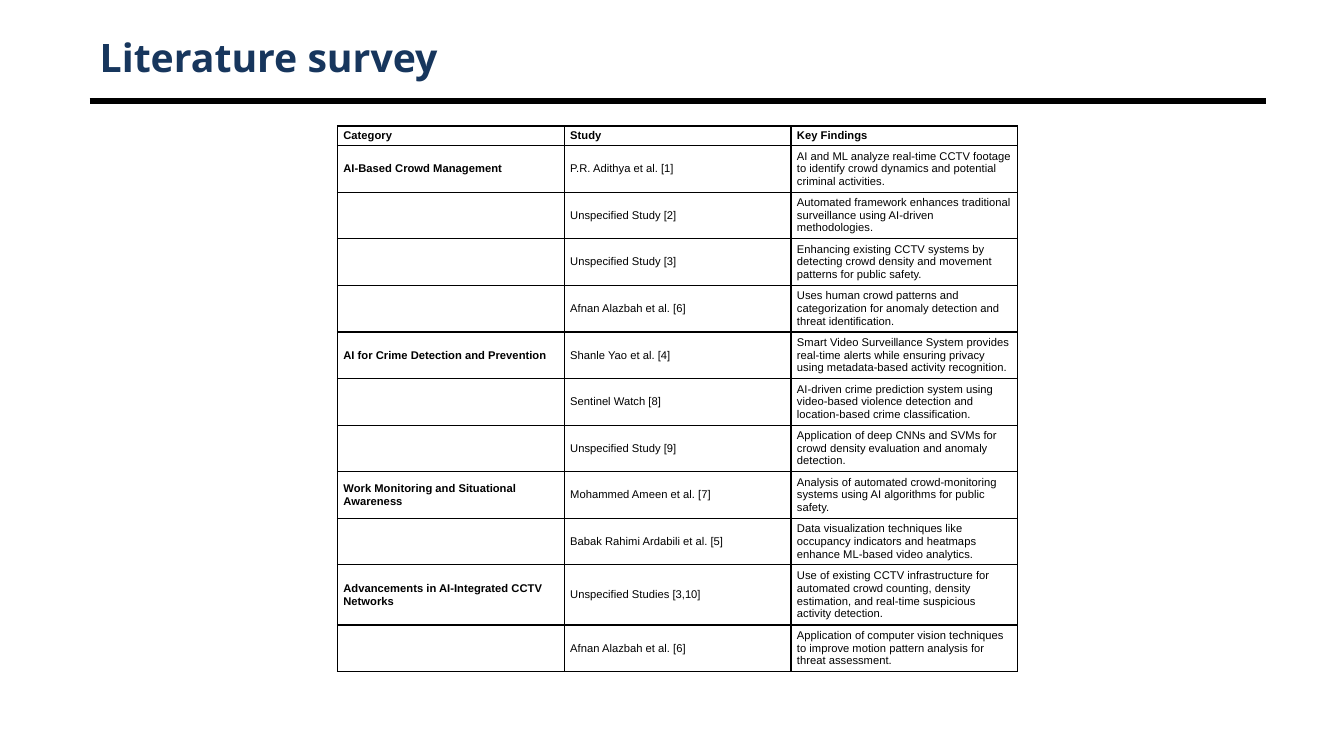
"""Build the literature survey slide with its table of studies."""
from lxml.etree import SubElement
from pptx import Presentation
from pptx.dml.color import RGBColor
from pptx.enum.shapes import MSO_CONNECTOR
from pptx.enum.text import MSO_ANCHOR, PP_ALIGN
from pptx.oxml import parse_xml
from pptx.oxml.ns import nsdecls, qn
from pptx.util import Pt

TITLE = "Literature survey"
HEADER = ("Category", "Study", "Key Findings")
SURVEY = {
    "AI-Based Crowd Management": [
        ("P.R. Adithya et al. [1]",
         "AI and ML analyze real-time CCTV footage to identify crowd dynamics and potential criminal activities."),
        ("Unspecified Study [2]",
         "Automated framework enhances traditional surveillance using AI-driven methodologies."),
        ("Unspecified Study [3]",
         "Enhancing existing CCTV systems by detecting crowd density and movement patterns for public safety."),
        ("Afnan Alazbah et al. [6]",
         "Uses human crowd patterns and categorization for anomaly detection and threat identification."),
    ],
    "AI for Crime Detection and Prevention": [
        ("Shanle Yao et al. [4]",
         "Smart Video Surveillance System provides real-time alerts while ensuring privacy "
         "using metadata-based activity recognition."),
        ("Sentinel Watch [8]",
         "AI-driven crime prediction system using video-based violence detection and "
         "location-based crime classification."),
        ("Unspecified Study [9]",
         "Application of deep CNNs and SVMs for crowd density evaluation and anomaly detection."),
    ],
    "Work Monitoring and Situational Awareness": [
        ("Mohammed Ameen et al. [7]",
         "Analysis of automated crowd-monitoring systems using AI algorithms for public safety."),
        ("Babak Rahimi Ardabili et al. [5]",
         "Data visualization techniques like occupancy indicators and heatmaps enhance ML-based video analytics."),
    ],
    "Advancements in AI-Integrated CCTV Networks": [
        ("Unspecified Studies [3,10]",
         "Use of existing CCTV infrastructure for automated crowd counting, density estimation, "
         "and real-time suspicious activity detection."),
        ("Afnan Alazbah et al. [6]",
         "Application of computer vision techniques to improve motion pattern analysis for threat assessment."),
    ],
}

LEFT, WIDTH = 64, 840
TABLE_LEFT, TABLE_TOP, COL_WIDTH = 241, 90, 162
HEADER_HEIGHT, ROW_HEIGHT, TALL_HEIGHT = 14, 33.3, 43
TALL_STUDY = "Unspecified Studies [3,10]"
BLACK, NAVY = "000000", "17365D"


def color(value):
    return RGBColor.from_string(value)


def format_run(r, font, size, fill, bold):
    r.font.name, r.font.size, r.font.bold = font, Pt(size), bold
    r.font.color.rgb = color(fill)


def add_borders(cell):
    tc_pr = cell._tc.get_or_add_tcPr()
    for i, side in enumerate("LRTB"):
        tc_pr.insert(i, parse_xml(
            f'<a:ln{side} {nsdecls("a")} w="{Pt(1)}"><a:solidFill>'
            f'<a:srgbClr val="{BLACK}"/></a:solidFill></a:ln{side}>'))


def add_title(s):
    title = s.shapes.title
    title.left, title.top, title.width, title.height = Pt(LEFT), Pt(21.6), Pt(WIDTH), Pt(38.2)
    tf = title.text_frame
    tf.text = TITLE
    tf.vertical_anchor = MSO_ANCHOR.MIDDLE
    p = tf.paragraphs[0]
    p.alignment = PP_ALIGN.LEFT
    format_run(p.runs[0], "Open Sans", 28, NAVY, True)


def add_rule(s):
    rule = s.shapes.add_connector(MSO_CONNECTOR.STRAIGHT, Pt(LEFT), Pt(72), Pt(LEFT + WIDTH), Pt(72))
    rule.line.color.rgb = color(BLACK)
    rule.line.width = Pt(4.5)
    SubElement(rule._element.spPr, qn("a:effectLst"))


def add_survey(s):
    rows = [HEADER]
    for category, studies in SURVEY.items():
        for i, study in enumerate(studies):
            rows.append(("" if i else category, *study))
    heights = [HEADER_HEIGHT] + [
        TALL_HEIGHT if row[1] == TALL_STUDY else ROW_HEIGHT for row in rows[1:]]
    table = s.shapes.add_table(
        len(rows), len(HEADER), Pt(TABLE_LEFT), Pt(TABLE_TOP),
        Pt(COL_WIDTH * len(HEADER)), Pt(sum(heights))).table
    table.first_row = table.horz_banding = False
    for column in table.columns:
        column.width = Pt(COL_WIDTH)
    for i, (row, height) in enumerate(zip(rows, heights)):
        table.rows[i].height = Pt(height)
        for j, text in enumerate(row):
            cell = table.cell(i, j)
            cell.text = text
            cell.vertical_anchor = MSO_ANCHOR.MIDDLE
            cell.margin_left = cell.margin_right = Pt(4.3)
            cell.margin_top = cell.margin_bottom = Pt(2.1)
            cell.fill.background()
            add_borders(cell)
            for r in cell.text_frame.paragraphs[0].runs:
                format_run(r, "Arial", 8, BLACK, i == 0 or j == 0)


def main():
    prs = Presentation()
    prs.slide_width, prs.slide_height = Pt(960), Pt(540)
    s = prs.slides.add_slide(prs.slide_layouts[5])
    add_rule(s)
    add_title(s)
    add_survey(s)
    prs.save("out.pptx")


if __name__ == "__main__":
    main()
